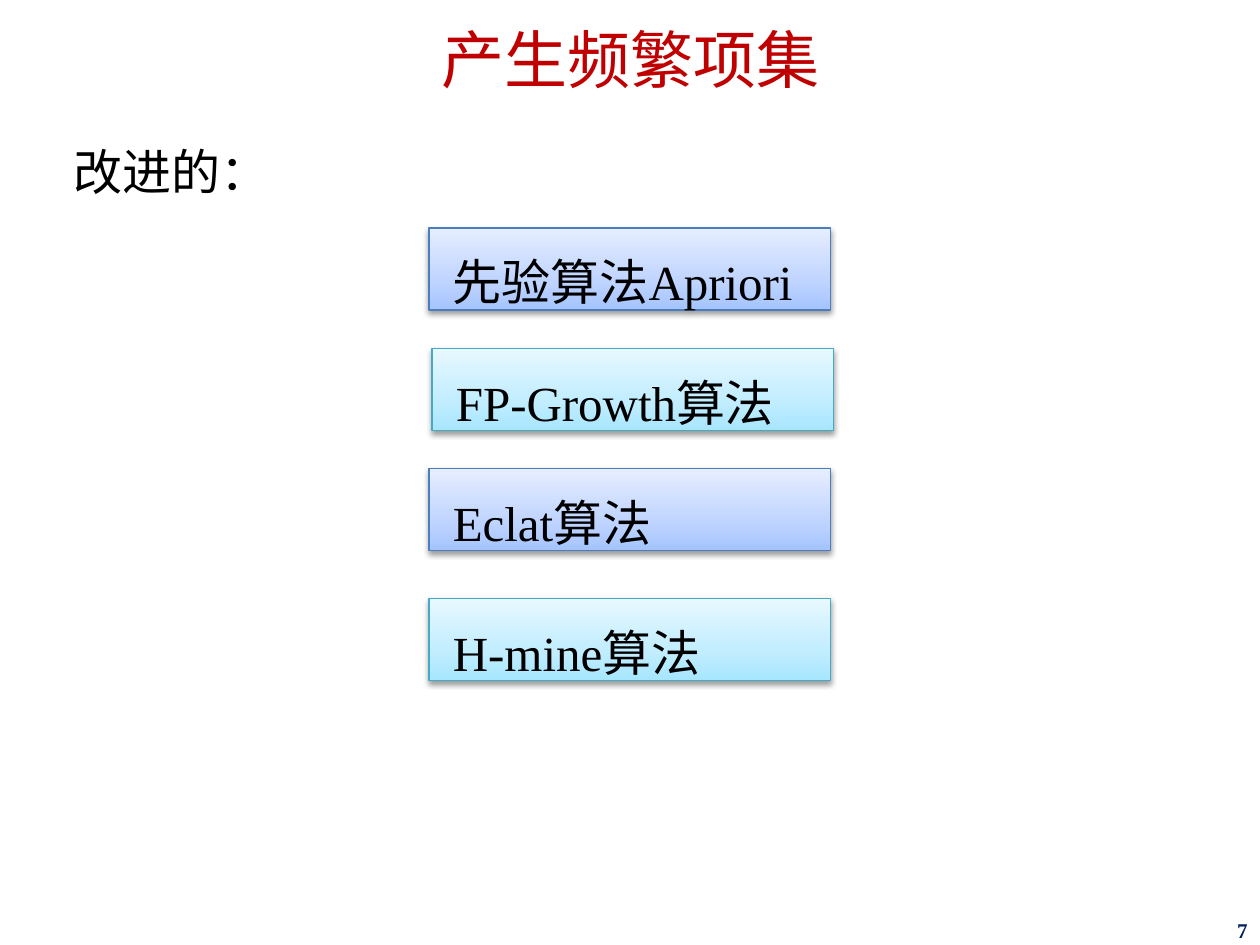
import copy
from dataclasses import dataclass

import pptx
import pptx.dml.color
import pptx.enum.shapes
import pptx.enum.text
import pptx.oxml
import pptx.oxml.ns
import pptx.util
from pptx.util import Cm, Pt

LATIN, CJK = "Times New Roman", "Noto Sans CJK SC"
COLORS = {"title": "C00000", "text": "000000", "number": "002060"}
GRADIENTS = {
    "blue": ("A4C4FF", "BFD4FF", "E6EEFF"),
    "aqua": ("A7E6FF", "C1EDFF", "E7F8FF"),
}
BORDERS = {"blue": "4B7EBC", "aqua": "46AAC5"}
STOPS = (0, 0.35, 1)
SHADOW = (
    '<a:outerShdw xmlns:a="http://schemas.openxmlformats.org/drawingml/2006/main" '
    'blurRad="40000" dist="20000" dir="5400000" rotWithShape="0">'
    '<a:srgbClr val="000000"><a:alpha val="38000"/></a:srgbClr></a:outerShdw>'
)
ANCHOR = pptx.enum.text.MSO_ANCHOR
ALIGN = pptx.enum.text.PP_ALIGN
AUTO = pptx.enum.text.MSO_AUTO_SIZE


@dataclass
class Algorithm:
    name: str
    left: float
    top: float
    theme: str


ALGORITHMS = [
    Algorithm("先验算法Apriori", 8.65, 4.6, "blue"),
    Algorithm("FP-Growth算法", 8.71, 7.03, "aqua"),
    Algorithm("Eclat算法", 8.65, 9.45, "blue"),
    Algorithm("H-mine算法", 8.65, 12.07, "aqua"),
]


def rgb(value: str) -> pptx.dml.color.RGBColor:
    return pptx.dml.color.RGBColor.from_string(value)


def write(tf, text: str, size: float, color: str, font: str = LATIN, bold: bool = False):
    """Fill a text frame with one formatted paragraph and return it."""
    tf.text = text
    p = tf.paragraphs[0]
    r = p.runs[0]
    r.font.size, r.font.name, r.font.bold = Pt(size), font, bold
    r.font.color.rgb = rgb(COLORS[color])
    ea = pptx.oxml.parse_xml(
        f'<a:ea {pptx.oxml.ns.nsdecls("a")} typeface="{CJK}"/>')
    r.font._element.find(pptx.oxml.ns.qn("a:latin")).addnext(ea)
    return p


def add_algorithm(s, item: Algorithm) -> None:
    sp = s.shapes.add_shape(pptx.enum.shapes.MSO_SHAPE.RECTANGLE,
                            Cm(item.left), Cm(item.top), Cm(8.1), Cm(1.65))
    # Three-stop vertical gradient
    sp.fill.gradient()
    sp.fill.gradient_angle = 90
    stops = sp._element.spPr.find(".//" + pptx.oxml.ns.qn("a:gsLst"))
    stops.append(copy.deepcopy(stops[-1]))
    for stop, position, color in zip(sp.fill.gradient_stops, STOPS, GRADIENTS[item.theme]):
        stop.position = position
        stop.color.rgb = rgb(color)
    sp.line.color.rgb = rgb(BORDERS[item.theme])
    sp.line.width = Pt(0.75)
    # Soft shadow below the box
    sp.shadow.inherit = False
    effects = sp._element.spPr.find(pptx.oxml.ns.qn("a:effectLst"))
    effects.append(pptx.oxml.parse_xml(SHADOW))
    # Label
    tf = sp.text_frame
    tf.word_wrap, tf.auto_size = True, AUTO.SHAPE_TO_FIT_TEXT
    tf.vertical_anchor = ANCHOR.TOP
    p = write(tf, item.name, 28, "text")
    p.alignment, p.line_spacing = ALIGN.LEFT, 1.3
    p._p.get_or_add_pPr().set("marL", str(Cm(0.23)))


def main() -> None:
    prs = pptx.Presentation()
    prs.slide_width, prs.slide_height = Cm(25.4), Cm(19.05)
    s = prs.slides.add_slide(prs.slide_layouts[5])

    # Title
    title = s.shapes.title
    title.left, title.top, title.width, title.height = Cm(0), Cm(0), Cm(25.4), Cm(2.26)
    tf = title.text_frame
    tf.vertical_anchor, tf.auto_size = ANCHOR.MIDDLE, AUTO.NONE
    tf.margin_top, tf.margin_bottom = Cm(0.41), Cm(0.13)
    p = write(tf, "产生频繁项集", 36, "title")
    p.alignment, p.line_spacing = ALIGN.CENTER, 0.9

    # Lead-in
    tf = s.shapes.add_textbox(Cm(1.24), Cm(2.72), Cm(4.5), Cm(1.45)).text_frame
    tf.word_wrap, tf.auto_size = False, AUTO.SHAPE_TO_FIT_TEXT
    write(tf, "改进的：", 28, "text", CJK)

    # Page number
    tf = s.shapes.add_textbox(Cm(19.68), Cm(18.49), Cm(5.72), Cm(0.56)).text_frame
    tf.word_wrap, tf.vertical_anchor = True, ANCHOR.MIDDLE
    tf.margin_top, tf.margin_bottom = Cm(0.1), Cm(0.13)
    write(tf, "7", 12, "number", bold=True).alignment = ALIGN.RIGHT

    # Algorithm boxes
    for item in ALGORITHMS:
        add_algorithm(s, item)

    prs.save("out.pptx")


if __name__ == "__main__":
    main()
